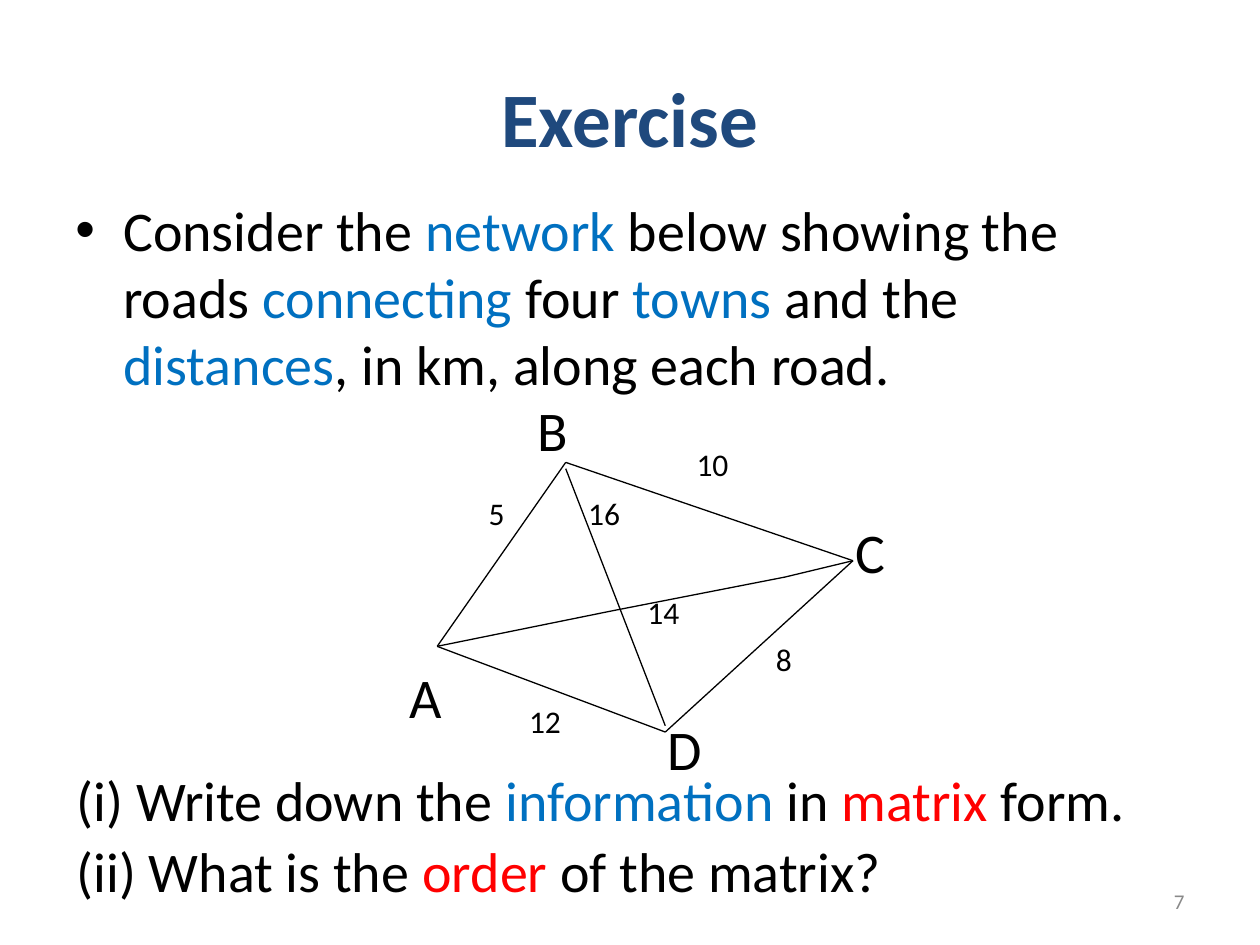
from lxml.etree import SubElement
from pptx import Presentation
from pptx.dml.color import RGBColor
from pptx.enum.shapes import MSO_CONNECTOR as Connector
from pptx.enum.text import MSO_ANCHOR as Anchor, PP_ALIGN as Align
from pptx.oxml.ns import qn
from pptx.util import Inches, Pt

COLUMNS, ROWS = 100, 75
BLACK, BLUE, RED, NAVY, GREY = "000000", "0070C0", "FF0000", "1F497D", "898989"


def color(value):
    return RGBColor.from_string(value)


def write(paragraph, text, *, font="Calibri", size=32, fill=BLACK, bold=False):
    run = paragraph.add_run()
    run.text = text
    run.font.name = font
    run.font.size = Pt(size)
    run.font.bold = bold
    run.font.color.rgb = color(fill)


def add_bullet(paragraph, indent):
    properties = paragraph._p.get_or_add_pPr()
    properties.set("marL", str(indent))
    properties.set("indent", str(-indent))
    SubElement(properties, qn("a:buFont"), typeface="Arial")
    SubElement(properties, qn("a:buChar"), char="•")


class SlideBuilder:
    def __init__(self, presentation):
        self.slide = presentation.slides.add_slide(presentation.slide_layouts[6])
        self.column = presentation.slide_width / COLUMNS
        self.row = presentation.slide_height / ROWS
        self.line_width = Pt(0.75)

    def place(self, column, row):
        return round(column * self.column), round(row * self.row)

    def text(self, box, segments, *, align=Align.LEFT, anchor=Anchor.TOP, bullet=False, **style):
        left, top, width, height = box
        shape = self.slide.shapes.add_textbox(*self.place(left, top), *self.place(width, height))
        frame = shape.text_frame
        frame.word_wrap = True
        frame.vertical_anchor = anchor
        paragraph = frame.paragraphs[0]
        if bullet:
            add_bullet(paragraph, Inches(0.38))
        paragraph.alignment = align
        for text, fill in segments:
            write(paragraph, text, fill=fill, **style)

    def road(self, start, end):
        connector = self.slide.shapes.add_connector(
            Connector.STRAIGHT, *self.place(*start), *self.place(*end))
        SubElement(connector._element.spPr, qn("a:effectLst"))
        self.outline(connector)

    def winding_road(self, points):
        start, *bends = [self.place(*point) for point in points]
        builder = self.slide.shapes.build_freeform(*start)
        builder.add_line_segments(bends, close=False)
        shape = builder.convert_to_shape()
        shape.shadow.inherit = False
        shape.fill.background()
        self.outline(shape)

    def outline(self, shape):
        shape.line.color.rgb = color(BLACK)
        shape.line.width = self.line_width


def main():
    presentation = Presentation()
    presentation.slide_width, presentation.slide_height = Inches(10), Inches(7.5)
    builder = SlideBuilder(presentation)

    builder.text((5, 3, 90, 12.5), [("Exercise", NAVY)], size=44, bold=True,
                 align=Align.CENTER, anchor=Anchor.MIDDLE)
    builder.text((5, 15, 90, 17.5), [
        ("Consider the ", BLACK), ("network", BLUE),
        (" below showing the roads ", BLACK), ("connecting", BLUE),
        (" four ", BLACK), ("towns", BLUE), (" and the ", BLACK),
        ("distances", BLUE), (", in km, along each road.", BLACK)], bullet=True)
    builder.text((71.7, 69.5, 23.3, 4), [("7", GREY)], size=12,
                 align=Align.RIGHT, anchor=Anchor.MIDDLE)

    towns = {"A": (34.7, 51.3), "B": (44.9, 36.7), "C": (67.7, 44.5), "D": (52.8, 58.1)}
    for start, end in ("AD", "DC", "CB", "AB"):
        builder.road(towns[start], towns[end])
    builder.road((44.9, 37.2), (52.8, 57.6))
    builder.winding_road([towns["A"], (48.5, 48.5), (62.3, 45.8), towns["C"]])

    names = [("A", 31.5, 52.1), ("B", 41.7, 30.9), ("C", 66.9, 40.6), ("D", 52, 56.2)]
    for name, left, top in names:
        builder.text((left, top, 4.7, 6.4), [(name, BLACK)])

    distances = [("5", 37.8, 38.7, 3.9), ("10", 54.3, 34.8, 6.3), ("8", 60.6, 50.3, 3.9),
                 ("12", 41, 55.2, 5.5), ("14", 50.4, 46.6, 7.1), ("16", 45.7, 38.7, 7.1)]
    for distance, left, top, width in distances:
        builder.text((left, top, width, 4), [(distance, BLACK)], size=18)

    questions = [
        (60.3, [("(i) Write down the ", BLACK), ("information", BLUE), (" in ", BLACK),
                ("matrix", RED), (" form.", BLACK)]),
        (65.9, [("(ii) What is the ", BLACK), ("order", RED), (" of the matrix?", BLACK)])]
    for top, segments in questions:
        builder.text((5.1, top, 90, 6.4), segments)

    presentation.save("out.pptx")


if __name__ == "__main__":
    main()
